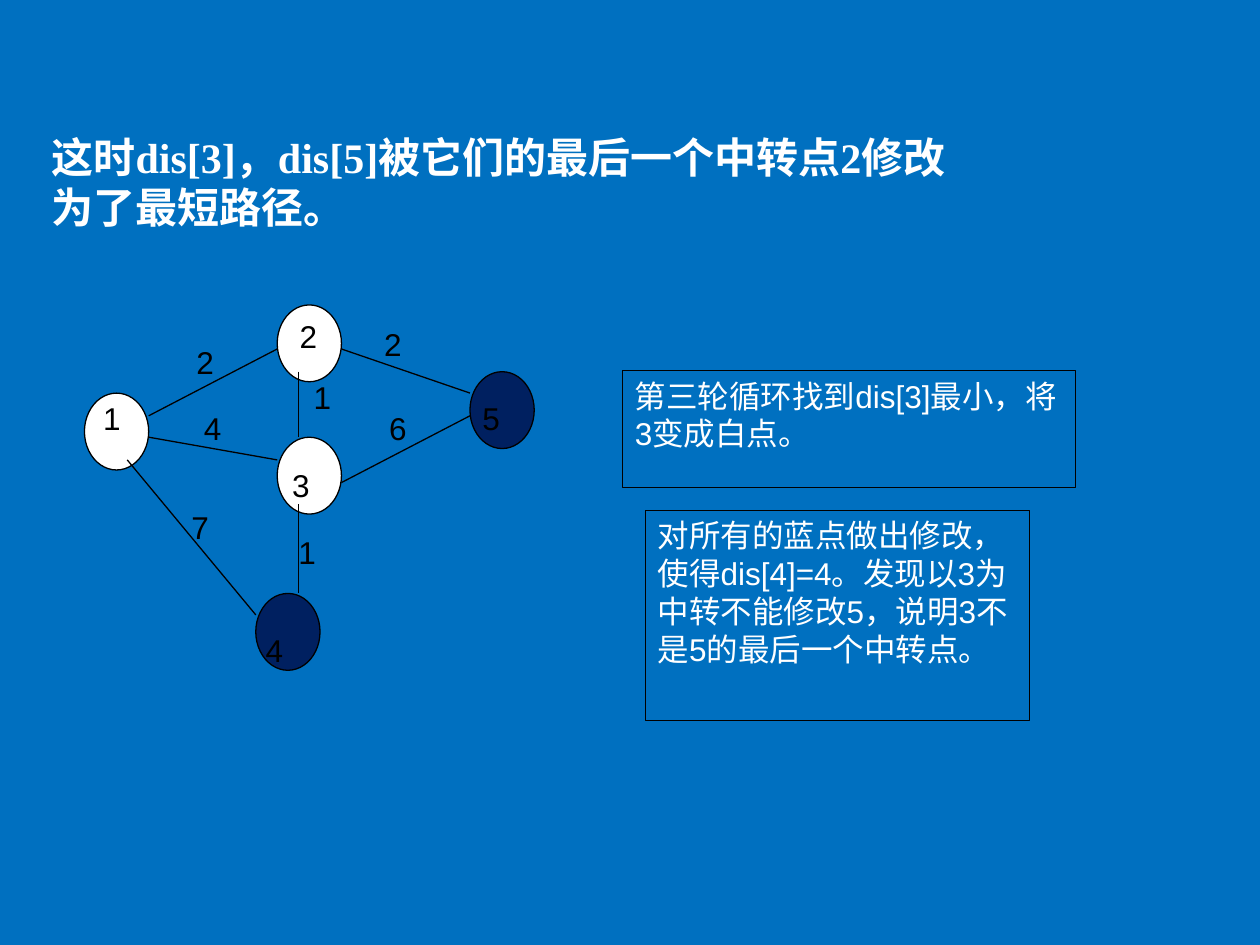
from pptx import Presentation
from pptx.dml.color import RGBColor
from pptx.enum.shapes import MSO_CONNECTOR, MSO_SHAPE
from pptx.enum.text import MSO_ANCHOR, MSO_AUTO_SIZE, PP_ALIGN
from pptx.oxml.ns import qn
from pptx.util import Inches, Pt
from lxml import etree

OVAL, RECT = MSO_SHAPE.OVAL, MSO_SHAPE.RECTANGLE
STRAIGHT = MSO_CONNECTOR.STRAIGHT
TOP, LEFT = MSO_ANCHOR.TOP, PP_ALIGN.LEFT
GROW = MSO_AUTO_SIZE.SHAPE_TO_FIT_TEXT
COLORS = {"back": "0070C0", "white": "FFFFFF", "blue": "002060", "black": "000000"}
CJK, SERIF, SANS = "Noto Sans CJK SC", "Times New Roman", "Arial"
NODE_W, NODE_H = 0.51, 0.61

TITLE = [("这时", CJK), ("dis[3]", SERIF), ("，", CJK), ("dis[5]", SERIF),
         ("被它们的最后一个中转点", CJK), ("2", SERIF), ("修改为了最短路径。", CJK)]
NOTES = [
    ((4.94, 2.94, 3.59, 0.93), "第三轮循环找到dis[3]最小，将3变成白点。"),
    ((5.12, 4.05, 3.05, 1.67),
     "对所有的蓝点做出修改，使得dis[4]=4。发现以3为中转不能修改5，说明3不是5的最后一个中转点。"),
]
NODES = [(0, 0.7, "white"), (1.53, 0, "white"), (1.36, 2.29, "blue"),
         (1.53, 1.05, "white"), (3.06, 0.53, "blue")]
EDGES = [(0.51, 0.88, 1.53, 0.35), (0.34, 1.23, 1.36, 2.46), (0.51, 1.05, 1.53, 1.23),
         (1.7, 0.53, 1.7, 1.05), (1.7, 1.58, 1.7, 2.29), (2.04, 1.41, 3.06, 0.88),
         (2.04, 0.35, 3.06, 0.7)]
NODE_LABELS = [("1", 0.05, 0.7, 0.34, 0.53), ("2", 1.61, 0.05, 0.51, 0.51),
               ("3", 1.55, 1.23, 0.51, 0.7), ("4", 1.34, 2.54, 0.51, 0.7),
               ("5", 3.06, 0.7, 0.51, 0.53)]
WEIGHTS = [("2", 0.79, 0.25, 0.34, 0.53), ("4", 0.85, 0.78, 0.34, 0.53),
           ("7", 0.75, 1.56, 0.51, 0.53), ("1", 1.72, 0.53, 0.51, 0.88),
           ("1", 1.6, 1.76, 0.68, 0.7), ("6", 2.32, 0.78, 0.34, 0.53),
           ("2", 2.28, 0.11, 0.34, 0.53)]


def rgb(name):
    return RGBColor.from_string(COLORS[name])


def write(tf, runs, size, color, bold=False):
    tf.word_wrap = True
    tf.vertical_anchor = TOP
    p = tf.paragraphs[0]
    p.alignment = LEFT
    p.space_before = Pt(0)
    for text, font in runs:
        r = p.add_run()
        r.text = text
        r.font.name = font
        r.font.size = Pt(size)
        r.font.bold = bold
        r.font.color.rgb = rgb(color)
        ea = etree.SubElement(r.font._element, qn("a:ea"))
        ea.set("typeface", CJK)


def outline(shape, width):
    shape.line.color.rgb = rgb("black")
    shape.line.width = Pt(width)


def add_title(s, box):
    sp = s.shapes.title
    sp.left, sp.top, sp.width, sp.height = map(Inches, box)
    write(sp.text_frame, TITLE, 24, "white", True)
    sp.text_frame.auto_size = GROW


def add_note(s, box, text):
    sp = s.shapes.add_shape(RECT, *map(Inches, box))
    sp.shadow.inherit = False
    sp.fill.background()
    outline(sp, 0.25)
    write(sp.text_frame, [(text, SANS)], 18, "white")


def add_graph(s, left, top):
    shapes = s.shapes.add_group_shape().shapes
    for x, y, color in NODES:
        sp = shapes.add_shape(OVAL, Inches(left + x), Inches(top + y),
                              Inches(NODE_W), Inches(NODE_H))
        sp.shadow.inherit = False
        sp.fill.solid()
        sp.fill.fore_color.rgb = rgb(color)
        outline(sp, 0.75)
    for x1, y1, x2, y2 in EDGES:
        edge = shapes.add_connector(STRAIGHT, Inches(left + x1), Inches(top + y1),
                                    Inches(left + x2), Inches(top + y2))
        outline(edge, 0.75)
        etree.SubElement(edge._element.spPr, qn("a:effectLst"))
    for text, x, y, w, h in NODE_LABELS + WEIGHTS:
        tb = shapes.add_textbox(Inches(left + x), Inches(top + y), Inches(w), Inches(h))
        write(tb.text_frame, [(text, SANS)], 18, "black")


def main():
    prs = Presentation()
    prs.slide_width, prs.slide_height = Inches(10), Inches(7.5)
    s = prs.slides.add_slide(prs.slide_layouts[5])
    s.background.fill.solid()
    s.background.fill.fore_color.rgb = rgb("back")
    add_title(s, (0.31, 0.99, 7.5, 0.9))
    for box, text in NOTES:
        add_note(s, box, text)
    add_graph(s, 0.67, 2.42)
    prs.save("out.pptx")


if __name__ == "__main__":
    main()
